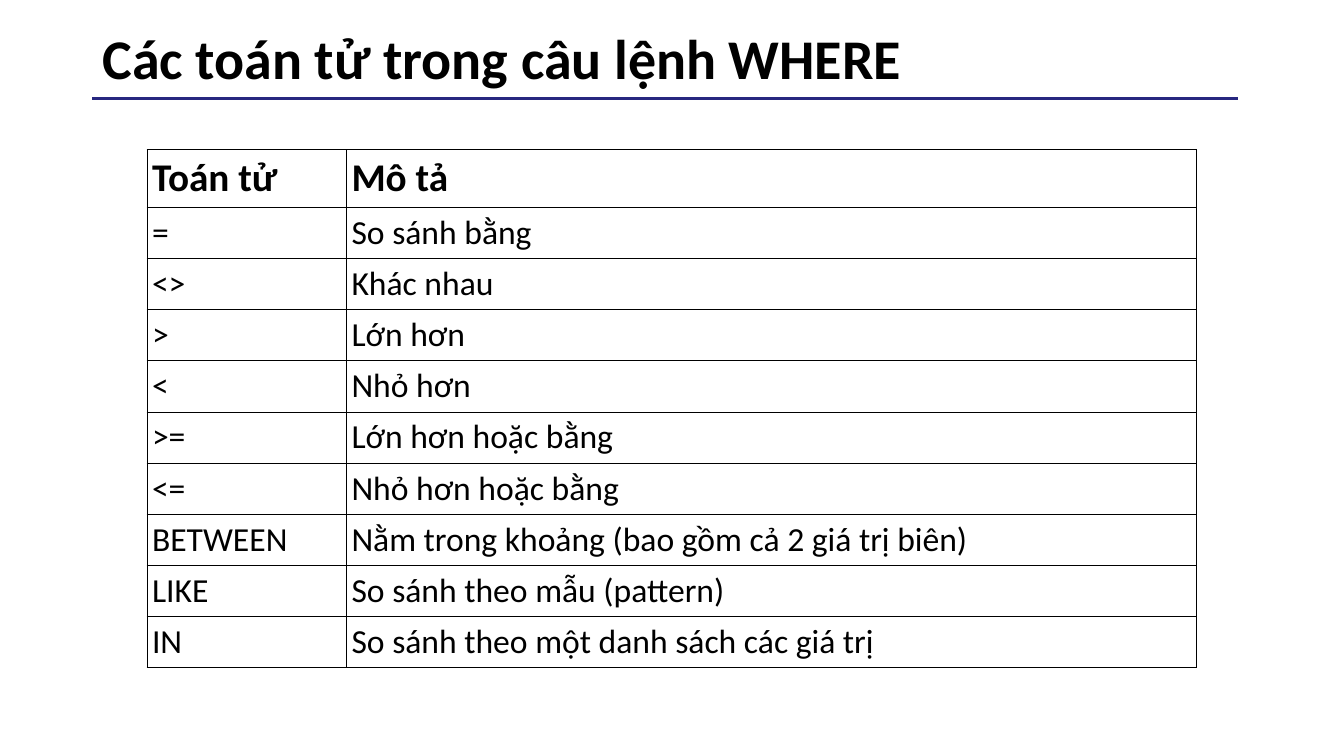
from lxml import etree
from pptx import Presentation
from pptx.dml.color import RGBColor
from pptx.enum.shapes import MSO_CONNECTOR
from pptx.enum.text import MSO_ANCHOR, PP_ALIGN
from pptx.oxml.ns import qn
from pptx.util import Inches, Pt

STRAIGHT = MSO_CONNECTOR.STRAIGHT
MIDDLE = MSO_ANCHOR.MIDDLE
LEFT = PP_ALIGN.LEFT

COLORS = {"text": "000000", "rule": "272780", "border": "000000"}
FONT = "Calibri"
GRID_COLUMNS, GRID_ROWS = 160, 90
TITLE_ONLY = 5

HEADER = ("Toán tử", "Mô tả")
OPERATORS = [
    ("=", "So sánh bằng"),
    ("<>", "Khác nhau"),
    (">", "Lớn hơn"),
    ("<", "Nhỏ hơn"),
    (">=", "Lớn hơn hoặc bằng"),
    ("<=", "Nhỏ hơn hoặc bằng"),
    ("BETWEEN", "Nằm trong khoảng (bao gồm cả 2 giá trị biên)"),
    ("LIKE", "So sánh theo mẫu (pattern)"),
    ("IN", "So sánh theo một danh sách các giá trị"),
]


class SlideBuilder:
    def __init__(self, presentation):
        self.column = presentation.slide_width / GRID_COLUMNS
        self.row = presentation.slide_height / GRID_ROWS
        layout = presentation.slide_layouts[TITLE_ONLY]
        self.slide = presentation.slides.add_slide(layout)

    def across(self, columns):
        return round(columns * self.column)

    def down(self, rows):
        return round(rows * self.row)

    def format_text(self, text_frame, size, bold):
        for paragraph in text_frame.paragraphs:
            paragraph.alignment = LEFT
            for run in paragraph.runs:
                run.font.name = FONT
                run.font.size = Pt(size)
                run.font.bold = bold
                run.font.color.rgb = RGBColor.from_string(COLORS["text"])

    def title(self, text, left, top, width, height):
        shape = self.slide.shapes.title
        shape.left, shape.top = self.across(left), self.down(top)
        shape.width, shape.height = self.across(width), self.down(height)
        text_frame = shape.text_frame
        text_frame.text = text
        text_frame.vertical_anchor = MIDDLE
        text_frame.paragraphs[0].line_spacing = 0.9
        self.format_text(text_frame, 40, True)

    def rule(self, left, right, top):
        connector = self.slide.shapes.add_connector(
            STRAIGHT, self.across(left), self.down(top), self.across(right), self.down(top)
        )
        connector.line.color.rgb = RGBColor.from_string(COLORS["rule"])
        connector.line.width = Pt(2)
        etree.SubElement(connector.element.spPr, qn("a:effectLst"))

    def border(self, cell):
        properties = cell._tc.get_or_add_tcPr()
        for side in ("a:lnL", "a:lnR", "a:lnT", "a:lnB"):
            line = etree.SubElement(properties, qn(side), w=str(Pt(0.75)))
            fill = etree.SubElement(line, qn("a:solidFill"))
            etree.SubElement(fill, qn("a:srgbClr"), val=COLORS["border"])

    def table(self, header, records, left, top, widths, header_height, row_height):
        heights = [header_height] + [row_height] * len(records)
        table = self.slide.shapes.add_table(
            len(heights), len(widths), self.across(left), self.down(top),
            self.across(sum(widths)), self.down(sum(heights)),
        ).table
        table.first_row = table.horz_banding = False
        for column, width in zip(table.columns, widths):
            column.width = self.across(width)
        for index, values in enumerate([header, *records]):
            table.rows[index].height = self.down(heights[index])
            is_header = index == 0
            for cell, value in zip(table.rows[index].cells, values):
                cell.text_frame.text = value
                cell.vertical_anchor = MIDDLE
                cell.margin_left = cell.margin_right = Inches(0.05)
                cell.margin_top = cell.margin_bottom = Inches(0.05)
                self.format_text(cell.text_frame, 28 if is_header else 24, is_header)
                self.border(cell)
                cell.fill.background()


def main():
    presentation = Presentation()
    presentation.slide_width = Inches(13.33)
    presentation.slide_height = Inches(7.5)
    builder = SlideBuilder(presentation)
    builder.rule(left=11, right=147.4, top=11.75)
    builder.title("Các toán tử trong câu lệnh WHERE", left=11, top=2, width=138, height=10.7)
    builder.table(
        HEADER, OPERATORS, left=17.5, top=17.8, widths=(23.75, 101.2),
        header_height=6.9, row_height=6.08,
    )
    presentation.save("out.pptx")


if __name__ == "__main__":
    main()
